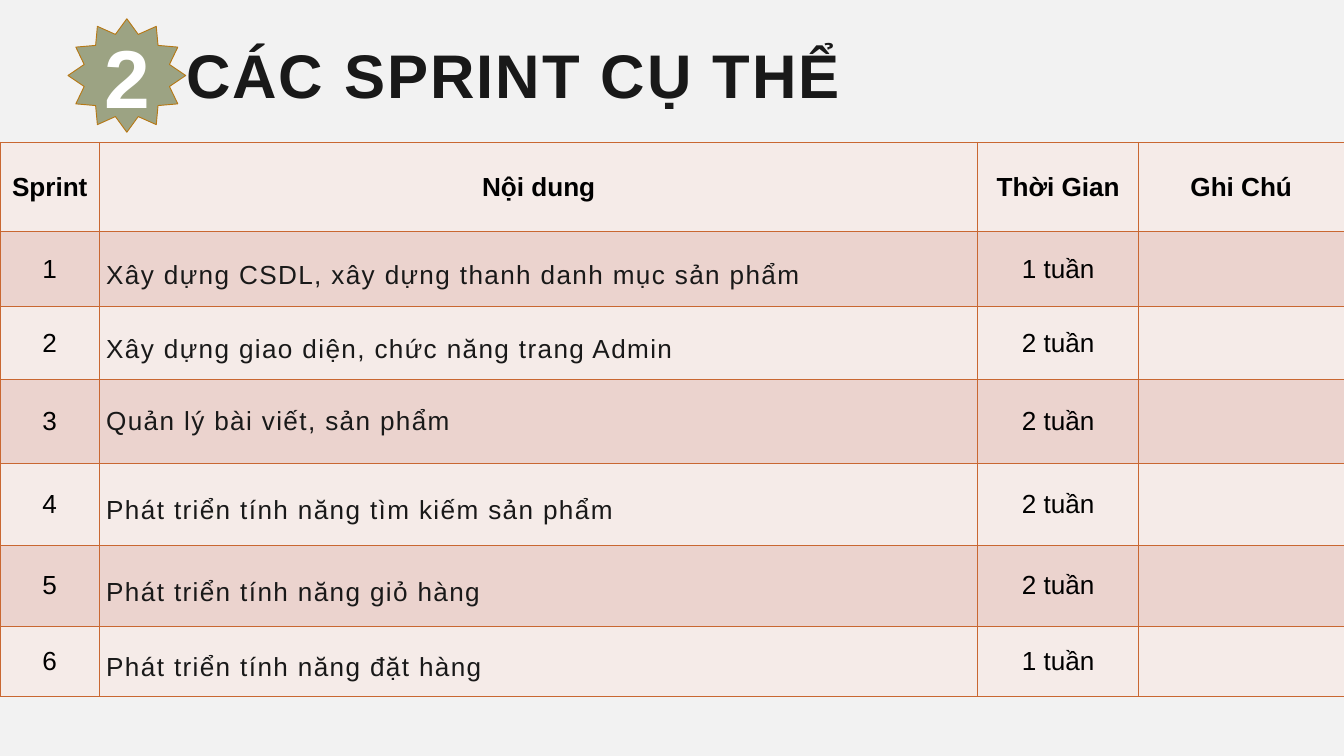
from lxml import etree
from pptx import Presentation
from pptx import util as u
from pptx.dml.color import RGBColor
from pptx.enum import shapes, text
from pptx.oxml.ns import qn

FONT = "Arial"
INK, BLACK, WHITE = "191919", "000000", "FFFFFF"
BACKGROUND, BORDER = "F2F2F2", "C96731"
LIGHT_ROW, DARK_ROW = "F5EBE8", "EBD3CE"
BADGE_FILL, BADGE_LINE = "9CA383", "B67815"

COLUMN_WIDTHS = [3.76, 33.2, 6.07, 7.77]
ROW_HEIGHTS = [3.38, 2.84, 2.74, 3.18, 3.1, 3.05, 2.64]
HEADINGS = ["Sprint", "Nội dung", "Thời Gian", "Ghi Chú"]
# Content, duration and line spacing in points (None is single spacing)
SPRINTS = [
    ("Xây dựng CSDL, xây dựng thanh danh mục sản phẩm", "1 tuần", 45),
    ("Xây dựng giao diện, chức năng trang Admin", "2 tuần", 45),
    ("Quản lý bài viết, sản phẩm", "2 tuần", None),
    ("Phát triển tính năng tìm kiếm sản phẩm", "2 tuần", 45),
    ("Phát triển tính năng giỏ hàng", "2 tuần", 45),
    ("Phát triển tính năng đặt hàng", "1 tuần", 45),
]


def rgb(color):
    return RGBColor.from_string(color)


def paint(target, color):
    target.fill.solid()
    target.fill.fore_color.rgb = rgb(color)


def write(frame, words, size, color, bold=False, centred=False, tracking=0, leading=None):
    """Set one paragraph; tracking and leading are in points."""
    frame.text = words
    paragraph = frame.paragraphs[0]
    paragraph.alignment = text.PP_ALIGN.CENTER if centred else text.PP_ALIGN.LEFT
    if leading:
        paragraph.line_spacing = u.Pt(leading)
    for run in paragraph.runs:
        run.font.name = FONT
        run.font.size = u.Pt(size)
        run.font.bold = bold
        run.font.color.rgb = rgb(color)
        if tracking:
            run.font._element.set("spc", str(round(tracking * 100)))


def add_borders(cell, color, points):
    properties = cell._tc.get_or_add_tcPr()
    for position, side in enumerate(("a:lnL", "a:lnR", "a:lnT", "a:lnB")):
        line = etree.Element(qn(side), w=str(u.Pt(points)))
        fill = etree.SubElement(line, qn("a:solidFill"))
        etree.SubElement(fill, qn("a:srgbClr"), val=color)
        properties.insert(position, line)


def add_badge(slide, number):
    badge = slide.shapes.add_shape(
        shapes.MSO_SHAPE.STAR_12_POINT, u.Cm(2.57), u.Cm(0.71), u.Cm(4.45), u.Cm(4.29))
    badge.shadow.inherit = False
    paint(badge, BADGE_FILL)
    badge.line.color.rgb = rgb(BADGE_LINE)
    badge.line.width = u.Pt(1)
    badge.text_frame.vertical_anchor = text.MSO_ANCHOR.MIDDLE
    write(badge.text_frame, number, 88, WHITE, bold=True, centred=True)


def add_title(slide, words):
    title = slide.shapes.add_textbox(u.Cm(7.04), u.Cm(2.62), u.Cm(34.85), u.Cm(1.7))
    frame = title.text_frame
    frame.margin_left = frame.margin_right = frame.margin_top = frame.margin_bottom = 0
    frame.word_wrap = True
    frame.auto_size = text.MSO_AUTO_SIZE.SHAPE_TO_FIT_TEXT
    write(frame, words, 66, INK, bold=True, tracking=2.1, leading=44.3)


def add_sprint_table(slide):
    table = slide.shapes.add_table(
        len(ROW_HEIGHTS), len(COLUMN_WIDTHS), 0, u.Cm(5.38),
        u.Cm(sum(COLUMN_WIDTHS)), u.Cm(sum(ROW_HEIGHTS))).table
    table.horz_banding = False
    for column, width in zip(table.columns, COLUMN_WIDTHS):
        column.width = u.Cm(width)
    for index, (row, height) in enumerate(zip(table.rows, ROW_HEIGHTS)):
        row.height = u.Cm(height)
        for cell in row.cells:
            paint(cell, DARK_ROW if index % 2 else LIGHT_ROW)
            add_borders(cell, BORDER, 1)
            cell.vertical_anchor = text.MSO_ANCHOR.MIDDLE

    for column, heading in enumerate(HEADINGS):
        write(table.cell(0, column).text_frame, heading, 28, BLACK, bold=True, centred=True)
    for number, (content, duration, leading) in enumerate(SPRINTS, start=1):
        write(table.cell(number, 0).text_frame, str(number), 28, BLACK, centred=True)
        write(table.cell(number, 1).text_frame, content, 28, INK, tracking=1.5, leading=leading)
        write(table.cell(number, 2).text_frame, duration, 28, BLACK, centred=True)


def main():
    deck = Presentation()
    deck.slide_width, deck.slide_height = u.Cm(50.8), u.Cm(28.58)
    slide = deck.slides.add_slide(deck.slide_layouts[6])
    paint(slide.background, BACKGROUND)
    add_sprint_table(slide)
    add_title(slide, "CÁC SPRINT CỤ THỂ")
    add_badge(slide, "2")
    deck.save("out.pptx")


if __name__ == "__main__":
    main()
